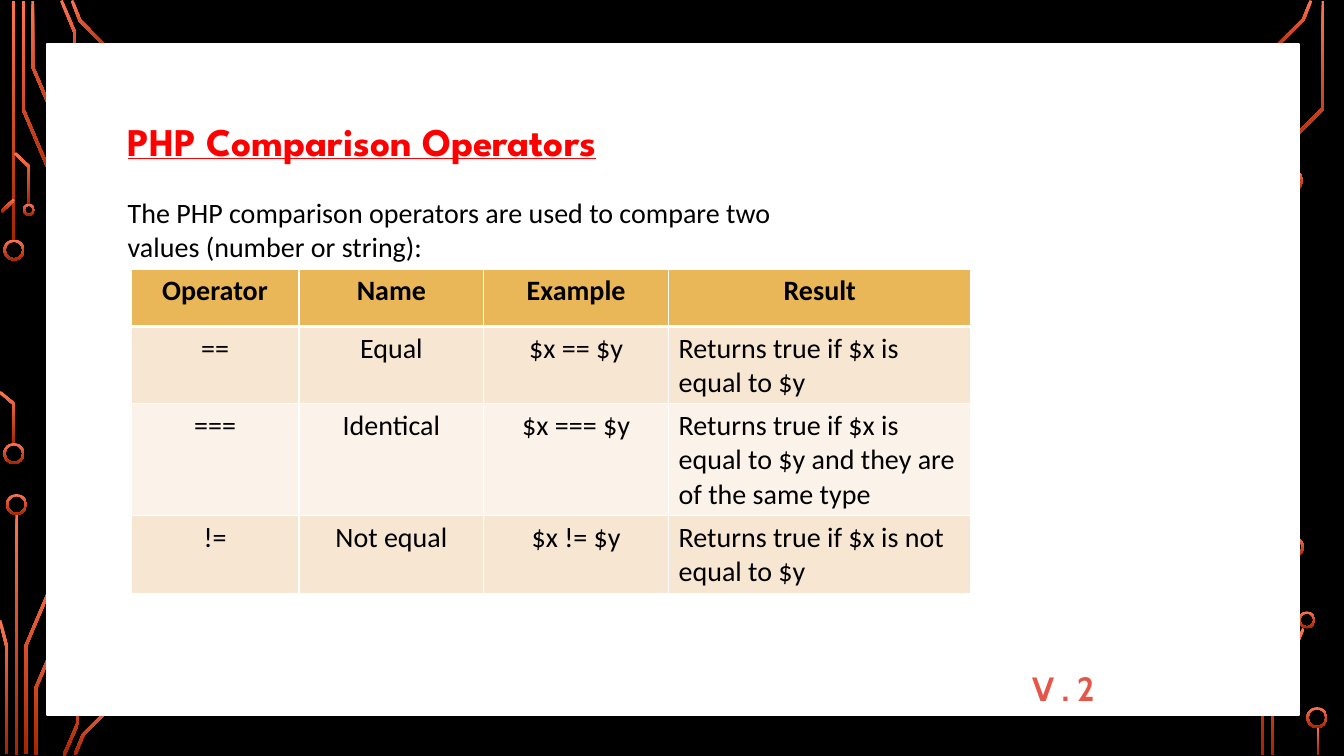
from math import hypot

from lxml import etree
from pptx import Presentation
from pptx import util as u
from pptx.dml.color import RGBColor
from pptx.enum import shapes, text
from pptx.oxml import ns

BLACK = RGBColor(0x00, 0x00, 0x00)
WHITE = RGBColor(0xFF, 0xFF, 0xFF)
RED = RGBColor(0xFF, 0x00, 0x00)
CORAL = RGBColor(0xE5, 0x55, 0x48)
COPPER_LIGHT = RGBColor(0xFF, 0x74, 0x4E)
COPPER_DARK = RGBColor(0xA6, 0x24, 0x00)
GOLD = RGBColor(0xE9, 0xB7, 0x58)
BANDS = RGBColor(0xF7, 0xE6, 0xD1), RGBColor(0xFB, 0xF3, 0xEA)

TRACES = [
    [(9.7, 0.7), (9.7, 172.8)],
    [(16.7, 0.7), (16.7, 78.5), (44, 143)],
    [(23.4, 0.7), (23.4, 47.9), (51.1, 112.7)],
    [(43.9, 0.4), (53.7, 23.8), (53.7, 72)],
    [(51.5, 0.4), (57.2, 14.8), (83.2, 41)],
    [(1.1, 151.2), (10.1, 142.6)],
    [(0, 280.1), (10.1, 288.7), (10.1, 317.5)],
    [(10.8, 109.4), (20.9, 119.2), (20.9, 146.2)],
    [(11.9, 367.2), (11.9, 539.3)],
    [(18.4, 538.6), (18.4, 461.5), (45.7, 397.1)],
    [(4.7, 538.6), (4.7, 461.5), (0, 443.2)],
    [(25.6, 539.3), (25.6, 491.4), (52.9, 427.3)],
    [(45.7, 539.6), (55.8, 516.2), (55.8, 468)],
    [(53.6, 539), (59.4, 524.9), (85, 499)],
    [(905, 40), (931, 14), (936.4, 0.4)],
    [(908.9, 539.3), (908.9, 499.3), (931, 449)],
    [(923, 121.7), (923, 99.7), (945, 77.4), (945, 0.7)],
    [(901.8, 539.3), (901.8, 442), (924.1, 420.1), (924.1, 397.4)],
    [(941.4, 519.1), (941.4, 539.3)],
]
RINGS = [
    (10, 178.6, 15), (9.9, 324, 15), (20.6, 149.8, 8.6), (11.8, 360.4, 15),
    (923.4, 128.9, 15), (933.5, 442.8, 12.2), (923.8, 390.6, 15), (940.7, 512.6, 15),
]
OPERATORS = [
    ("Operator", "Name", "Example", "Result"),
    ("==", "Equal", "$x == $y", "Returns true if $x is equal to $y"),
    ("===", "Identical", "$x === $y", "Returns true if $x is equal to $y and they are of the same type"),
    ("!=", "Not equal", "$x != $y", "Returns true if $x is not equal to $y"),
]


def outline(trace, width):
    normals = []
    for (x1, y1), (x2, y2) in zip(trace, trace[1:]):
        length = hypot(x2 - x1, y2 - y1)
        normals.append(((y1 - y2) / length, (x2 - x1) / length))
    left, right = [], []
    for (x, y), (ax, ay), (bx, by) in zip(trace, normals[:1] + normals, normals + normals[-1:]):
        reach = width / 2 / (1 + ax * bx + ay * by)
        dx, dy = (ax + bx) * reach, (ay + by) * reach
        left.append((x + dx, y + dy))
        right.append((x - dx, y - dy))
    return left + right[::-1]


class Deck:
    body_font = "Calibri"
    body_size = 20
    trace_width = 2
    ring_width = 1.5

    def __init__(self, width, height):
        self.presentation = Presentation()
        self.presentation.slide_width = u.Pt(width)
        self.presentation.slide_height = u.Pt(height)
        self.slide = self.presentation.slides.add_slide(self.presentation.slide_layouts[6])
        fill = self.slide.background.fill
        fill.solid()
        fill.fore_color.rgb = BLACK

    def copper(self, shape):
        shape.shadow.inherit = False
        shape.line.fill.background()
        shape.fill.gradient()
        shape.fill.gradient_angle = 270
        for stop, color in zip(shape.fill.gradient_stops, (COPPER_LIGHT, COPPER_DARK)):
            stop.color.rgb = color

    def trace(self, points):
        first, *rest = [(u.Pt(x), u.Pt(y)) for x, y in outline(points, self.trace_width)]
        builder = self.slide.shapes.build_freeform(*first)
        builder.add_line_segments(rest, close=True)
        self.copper(builder.convert_to_shape())

    def ring(self, x, y, size):
        shape = self.slide.shapes.add_shape(
            shapes.MSO_SHAPE.DONUT, u.Pt(x - size / 2), u.Pt(y - size / 2), u.Pt(size), u.Pt(size))
        shape.adjustments[0] = self.ring_width / size
        self.copper(shape)

    def panel(self, *box):
        shape = self.slide.shapes.add_shape(shapes.MSO_SHAPE.RECTANGLE, *map(u.Pt, box))
        shape.shadow.inherit = False
        shape.fill.solid()
        shape.fill.fore_color.rgb = WHITE
        shape.line.color.rgb = WHITE
        shape.line.width = u.Pt(1.25)

    def run(self, paragraph, words, size=body_size, font=body_font, color=BLACK, bold=False, underline=None):
        run = paragraph.add_run()
        run.text = words
        run.font.size = u.Pt(size)
        run.font.name = font
        run.font.color.rgb = color
        run.font.bold = bold
        run.font.underline = underline

    def text(self, box, words, **style):
        frame = self.slide.shapes.add_textbox(*map(u.Pt, box)).text_frame
        frame.word_wrap = True
        frame.auto_size = text.MSO_AUTO_SIZE.SHAPE_TO_FIT_TEXT
        self.run(frame.paragraphs[0], words, **style)

    def border(self, cell, side, width):
        properties = cell._tc.get_or_add_tcPr()
        line = etree.SubElement(properties, ns.qn(f"a:ln{side}"), w=str(u.Pt(width)))
        fill = etree.SubElement(line, ns.qn("a:solidFill"))
        etree.SubElement(fill, ns.qn("a:srgbClr"), val=str(WHITE))

    def table(self, left, top, widths, heights, rows):
        table = self.slide.shapes.add_table(
            len(rows), len(widths), u.Pt(left), u.Pt(top), u.Pt(sum(widths)), u.Pt(sum(heights))).table
        for column, width in zip(table.columns, widths):
            column.width = u.Pt(width)
        for row, height in zip(table.rows, heights):
            row.height = u.Pt(height)
        for i, row in enumerate(rows):
            header = i == 0
            for j, words in enumerate(row):
                cell = table.cell(i, j)
                for side, width in zip("LRTB", (1, 1, 3 if i == 1 else 1, 3 if header else 1)):
                    self.border(cell, side, width)
                cell.fill.solid()
                cell.fill.fore_color.rgb = GOLD if header else BANDS[(i - 1) % 2]
                paragraph = cell.text_frame.paragraphs[0]
                if header or j < len(row) - 1:
                    paragraph.alignment = text.PP_ALIGN.CENTER
                self.run(paragraph, words, bold=header)


def main():
    deck = Deck(960, 540)
    for points in TRACES:
        deck.trace(points)
    for ring in RINGS:
        deck.ring(*ring)
    deck.panel(33.8, 31.7, 894.2, 478.8)
    deck.text((84.2, 79.9, 597.6, 41), "PHP Comparison Operators",
              size=28, font="League Spartan", color=RED, bold=True, underline=True)
    deck.text((84.2, 136.1, 484.6, 55.4),
              "The PHP comparison operators are used to compare two values (number or string):")
    deck.table(93.6, 192.2, (120, 132, 132, 216), (41, 55, 80, 55), OPERATORS)
    deck.text((730.1, 473.8, 162, 36), "V . 2", size=24, font="Cabin", color=CORAL, bold=True)
    deck.presentation.save("out.pptx")


if __name__ == "__main__":
    main()
